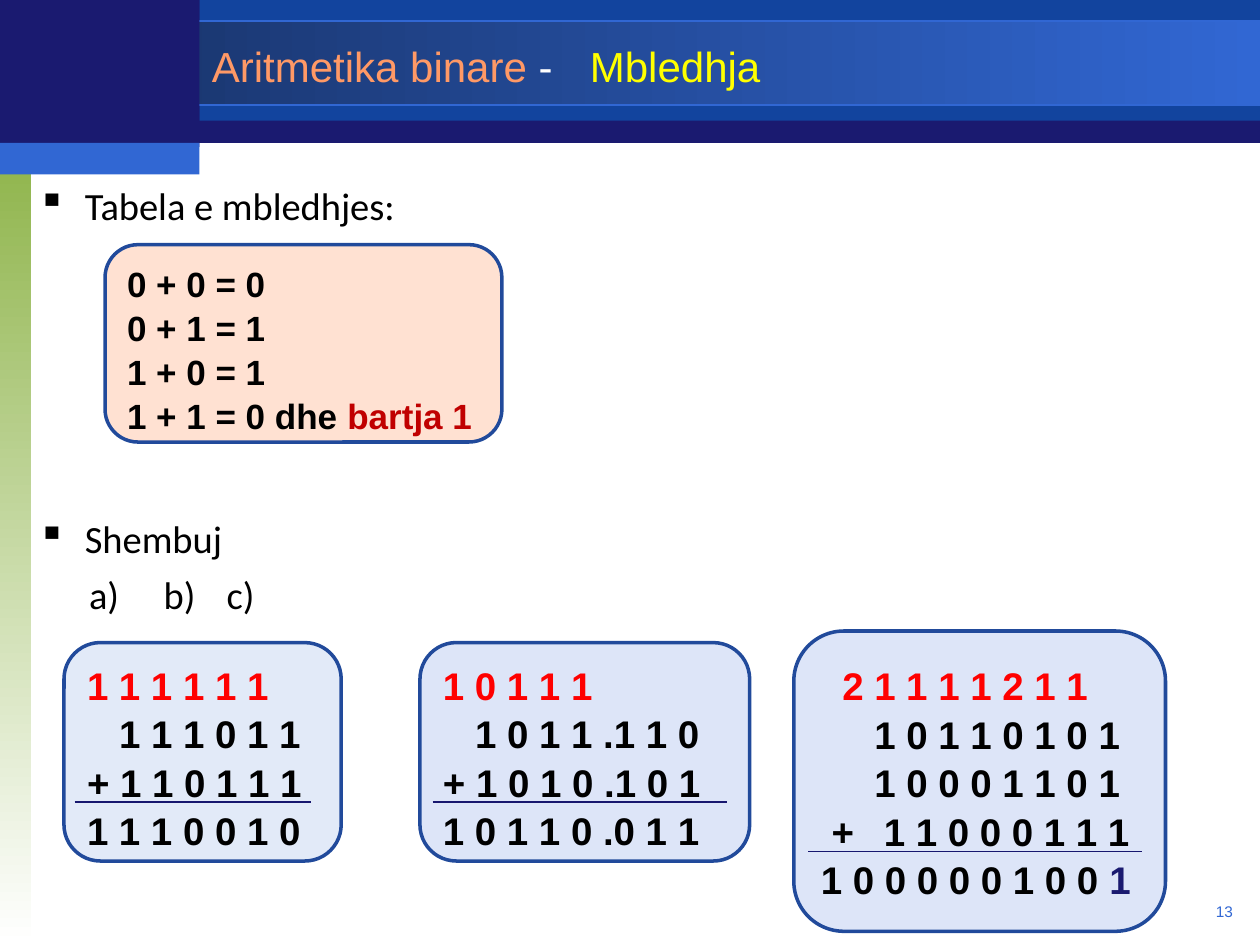
from lxml import etree
from pptx import Presentation, util as u
from pptx.dml.color import RGBColor
from pptx.enum import shapes, text
from pptx.oxml import ns

COLORS = {
    "navy": "1A1A70", "band": "12449E", "bright": "3167D3", "deep": "173062",
    "green": "90B54D", "white": "FFFFFF", "black": "000000", "orange": "FF9966",
    "yellow": "FFFF00", "red": "FF0000", "carry": "C00000", "border": "214A9B",
    "pale": "D6E1F6", "ice": "CFDAF6", "rule": "17176F",
}
COLUMNS, ROWS = 120, 90
TABLE_ROWS = [
    (0, [("0 + 0 = 0", "black")]),
    (0, [("0 + 1 = 1", "black")]),
    (0, [("1 + 0 = 1", "black")]),
    (0, [("1 + 1 = 0 dhe ", "black"), ("bartja 1", "carry")]),
]
EXAMPLES = [
    {"box": (6.1, 61.2, 26.4, 20.8), "fill": "pale", "opacity": 69,
     "rule": (1, 2.9, 15.15, 1), "anchor": text.MSO_ANCHOR.TOP,
     "rows": [(0, [("1 1 1 1 1 1", "red")]),
              (3, [("1 1 1 0 1 1", "black")]),
              (0, [("+ 1 1 0 1 1 1", "black")]),
              (0, [("1 1 1 0 0 1 0", "black")])]},
    {"box": (40, 61.2, 31.4, 20.8), "fill": "ice", "opacity": 70,
     "rule": (1.2, 2.2, 15.15, 1.25), "anchor": text.MSO_ANCHOR.TOP,
     "rows": [(0, [("1 0 1 1 1", "red")]),
              (3, [("1 0 1 1 .1 1 0", "black")]),
              (0, [("+ 1 0 1 0 .1 0 1", "black")]),
              (0, [("1 0 1 1 0 .0 1 1", "black")])]},
    {"box": (75.6, 60.1, 35.4, 28.6), "fill": "ice", "opacity": 70,
     "rule": (1.4, 2.2, 21, 0.75), "anchor": text.MSO_ANCHOR.MIDDLE,
     "rows": [(2, [("2 1 1 1 1 2 1 1", "red")]),
              (5, [("1 0 1 1 0 1 0 1", "black")]),
              (5, [("1 0 0 0 1 1 0 1", "black")]),
              (1, [("+\t1 1 0 0 0 1 1 1", "black")]),
              (0, [("1 0 0 0 0 0 1 0 0 ", "black"), ("1", "navy")])]},
]


def grid(cells):
    """Turn grid cells, twelve to the inch, into a length."""
    return u.Inches(cells / 12)


def rgb(name):
    """Look up a named colour."""
    return RGBColor.from_string(COLORS[name])


def add_block(slide, box, fill, end=None, angle=0, line=None, width=0.75,
              kind=shapes.MSO_SHAPE.RECTANGLE):
    """Add a preset shape with a solid fill or a gradient from fill to end."""
    shape = slide.shapes.add_shape(kind, *map(grid, box))
    shape.shadow.inherit = False
    if end:
        shape.fill.gradient()
        shape.fill.gradient_angle = angle
        for stop, name in zip(shape.fill.gradient_stops, (fill, end)):
            stop.color.rgb = rgb(name)
    else:
        shape.fill.solid()
        shape.fill.fore_color.rgb = rgb(fill)
    if line:
        shape.line.color.rgb = rgb(line)
        shape.line.width = u.Pt(width)
    else:
        shape.line.fill.background()
    return shape


def write_paragraph(frame, runs, size, face="Arial", bold=False, margin=0,
                    indent=0, tabs=(), bullet=None,
                    align=text.PP_ALIGN.LEFT):
    """Write coloured runs into the next free paragraph of a frame."""
    paragraph = frame.paragraphs[0]
    if paragraph.runs:
        paragraph = frame.add_paragraph()
    paragraph.alignment = align
    properties = paragraph._p.get_or_add_pPr()
    properties.set("marL", str(grid(margin)))
    properties.set("indent", str(grid(indent)))
    if bullet:
        etree.SubElement(properties, ns.qn("a:buChar"), char=bullet)
    else:
        etree.SubElement(properties, ns.qn("a:buNone"))
    if tabs:
        stops = etree.SubElement(properties, ns.qn("a:tabLst"))
        for stop in tabs:
            etree.SubElement(stops, ns.qn("a:tab"), pos=str(grid(stop)), algn="l")
    paragraph.font.size = u.Pt(size)
    paragraph.font.name = face
    paragraph.font.bold = bold
    for words, color in runs:
        run = paragraph.add_run()
        run.text = words
        run.font.color.rgb = rgb(color)
    return paragraph


def add_frame(slide, box, anchor=text.MSO_ANCHOR.TOP):
    """Add a wrapping text box and return its frame."""
    frame = slide.shapes.add_textbox(*map(grid, box)).text_frame
    frame.word_wrap = True
    frame.vertical_anchor = anchor
    return frame


def add_backdrop(slide, box):
    """Draw the header bands, the corner block and the side strip."""
    left, top, width, height = box
    corner = 19
    add_block(slide, (left, top, width, 13.6), "navy")
    add_block(slide, (left + corner, top, width - corner, 11.5), "band")
    add_block(slide, (left, top + 2, width, 8), "deep", "bright", line="bright")
    add_block(slide, (left, top + 15, 3, height - 15), "green", "white", 270)
    add_block(slide, (left, top, corner, 14), "navy")
    add_block(slide, (left, top + 13.6, corner, 3), "bright")


def add_title(slide, box):
    """Write the three-coloured title."""
    runs = [("Aritmetika binare ", "orange"), ("-\t", "white"), ("Mbledhja", "yellow")]
    write_paragraph(add_frame(slide, box, text.MSO_ANCHOR.MIDDLE), runs, 24, tabs=[34.7])


def add_body(slide, box):
    """Write the two bulleted headings and the row of example letters."""
    frame = add_frame(slide, box)
    style = {"size": 22, "face": "Calibri"}
    heading = {"margin": 4.5, "indent": -4.5, "bullet": "▪"}
    write_paragraph(frame, [("Tabela e mbledhjes:", "black")], **style, **heading)
    examples = write_paragraph(frame, [("Shembuj", "black")], **style, **heading)
    examples.space_before = u.Pt(164)
    letters = write_paragraph(frame, [("a)\tb)\tc)", "black")], **style,
                              indent=4.9, tabs=[38.4, 72.7])
    letters.space_before = u.Pt(5.5)


def add_card(slide, box, rows, fill, opacity, size, anchor=text.MSO_ANCHOR.TOP):
    """Draw a rounded translucent card holding rows of sums."""
    card = add_block(slide, box, fill, line="border", width=2,
                     kind=shapes.MSO_SHAPE.FLOWCHART_ALTERNATE_PROCESS)
    color = card.fill._xPr.find(".//" + ns.qn("a:srgbClr"))
    etree.SubElement(color, ns.qn("a:alpha"), val=str(opacity * 1000))
    frame = card.text_frame
    frame.word_wrap = True
    frame.vertical_anchor = anchor
    for places, runs in rows:
        tabs = [5.1] if "\t" in runs[0][0] else []
        paragraph = write_paragraph(frame, runs, size, bold=True,
                                    indent=places * 1.02, tabs=tabs)
        paragraph.line_spacing = 1.05


def add_example(slide, box, example):
    """Draw one worked addition with the rule above its result."""
    add_card(slide, box, example["rows"], example["fill"], example["opacity"],
             22, example["anchor"])
    left, top, width, _ = box
    start, end, drop, weight = example["rule"]
    rule = slide.shapes.add_connector(
        shapes.MSO_CONNECTOR.STRAIGHT, grid(left + start), grid(top + drop),
        grid(left + width - end), grid(top + drop))
    rule.line.color.rgb = rgb("rule")
    rule.line.width = u.Pt(weight)
    etree.SubElement(rule._element.spPr, ns.qn("a:effectLst"))


def add_page_number(slide, box):
    """Write the page number at the lower right."""
    write_paragraph(add_frame(slide, box), [("13", "bright")], 8.8,
                    align=text.PP_ALIGN.RIGHT)


def main():
    """Build the binary addition slide."""
    presentation = Presentation()
    presentation.slide_width, presentation.slide_height = grid(COLUMNS), grid(ROWS)
    slide = presentation.slides.add_slide(presentation.slide_layouts[6])
    add_backdrop(slide, (0, 0, COLUMNS, ROWS))
    add_page_number(slide, (90.6, 85.3, 28, 3.2))
    add_title(slide, (19, 2.8, 90, 7))
    add_body(slide, (2.4, 16.7, 113.4, 68.6))
    add_card(slide, (10, 23.3, 37.8, 18.8), TABLE_ROWS, "orange", 29, 20)
    for example in EXAMPLES:
        add_example(slide, example["box"], example)
    presentation.save("out.pptx")


if __name__ == "__main__":
    main()
